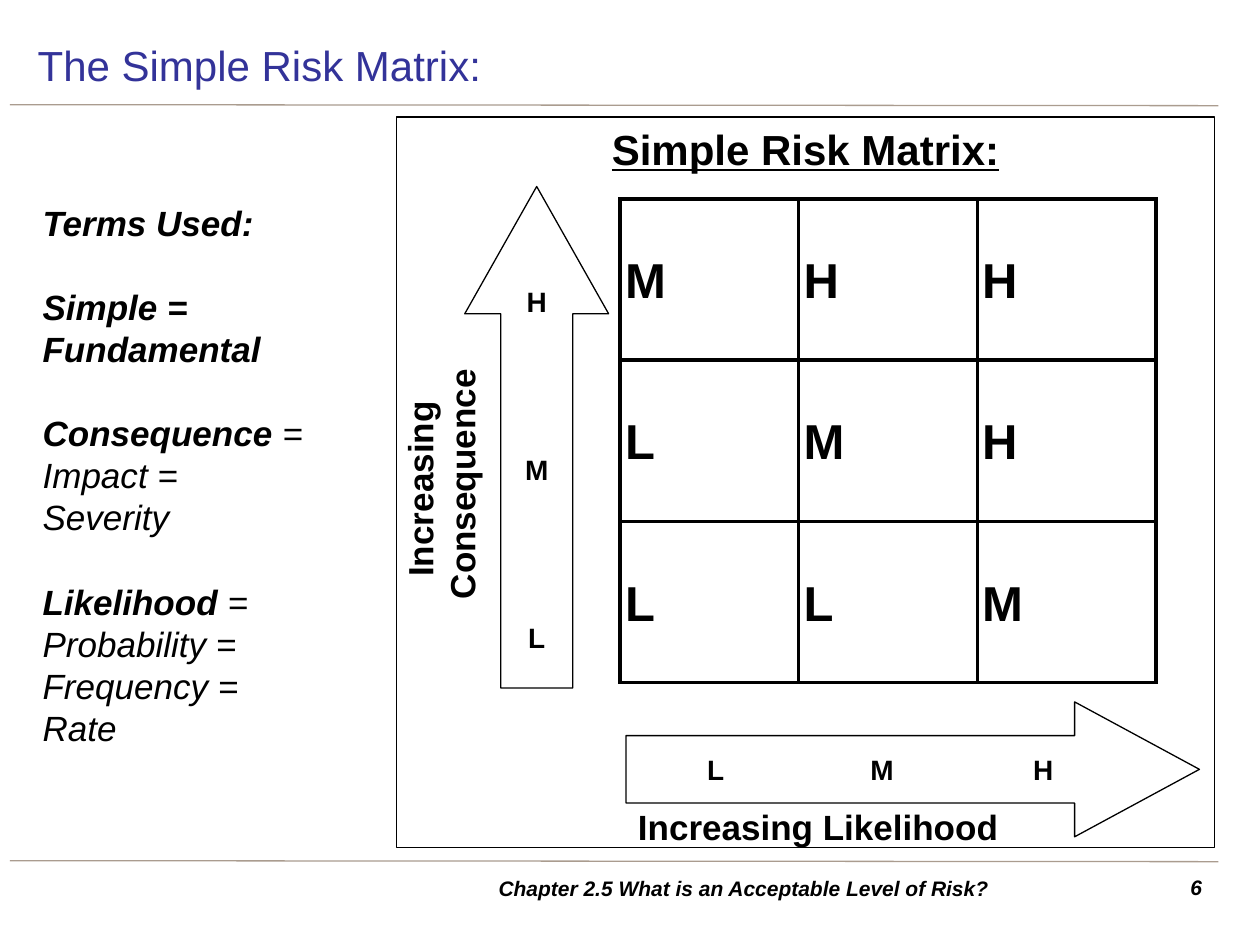
from dataclasses import dataclass

import pptx
import pptx.dml.color
import pptx.enum.shapes
import pptx.enum.text
import pptx.oxml
import pptx.oxml.ns
import pptx.util
from pptx.util import Cm, Pt

RGBColor = pptx.dml.color.RGBColor
BLACK = RGBColor(0x00, 0x00, 0x00)
WHITE = RGBColor(0xFF, 0xFF, 0xFF)
BLUE = RGBColor(0x33, 0x33, 0x99)
TAN = RGBColor(0xAA, 0x9C, 0x8F)

KIND = pptx.enum.shapes.MSO_SHAPE
ALIGN = pptx.enum.text.PP_ALIGN
ANCHOR = pptx.enum.text.MSO_ANCHOR
LEFT, MID, RIGHT = ALIGN.LEFT, ALIGN.CENTER, ALIGN.RIGHT
TOP, CENTER = ANCHOR.TOP, ANCHOR.MIDDLE
NS = pptx.oxml.ns.nsdecls("a")
LEAD = 1.2  # line pitch over text size


@dataclass
class Run:
    text: str
    bold: bool = True
    italic: bool = False
    under: bool = False


@dataclass
class Para:
    runs: list[Run]
    gap: float = 0
    tabs: tuple[float, ...] = ()


@dataclass
class Box:
    """Place in centimetres, text and text settings."""
    x: float
    y: float
    w: float
    h: float
    paras: list[Para]
    size: float
    align: ALIGN = LEFT
    anchor: ANCHOR = TOP
    pad: tuple[float, float] = (0.25, 0.13)
    color: RGBColor = BLACK
    turn: float = 0
    kind: KIND | None = None
    adjust: tuple[float, ...] = ()


def line(text: str, **style: bool) -> list[Para]:
    return [Para([Run(text, **style)])]


def write(par, para: Para, size: float, color: RGBColor, align: ALIGN) -> None:
    par.alignment = align
    par.line_spacing = Pt(size * LEAD)
    if para.gap:
        par.space_before = Pt(para.gap)
    if para.tabs:
        stops = "".join(f'<a:tab pos="{Cm(t)}" algn="ctr"/>' for t in para.tabs)
        par._p.get_or_add_pPr().append(
            pptx.oxml.parse_xml(f"<a:tabLst {NS}>{stops}</a:tabLst>"))
    for item in para.runs:
        for i, part in enumerate(item.text.split("\n")):
            if i:
                par.add_line_break()
            run = par.add_run()
            run.text = part
            font = run.font
            font.name, font.size = "Arial", Pt(size)
            font.bold, font.italic = item.bold, item.italic
            font.underline = item.under
            font.color.rgb = color


def draw(slide, box: Box) -> None:
    place = Cm(box.x), Cm(box.y), Cm(box.w), Cm(box.h)
    if box.kind is None:
        shape = slide.shapes.add_textbox(*place)
    else:
        shape = slide.shapes.add_shape(box.kind, *place)
        shape.shadow.inherit = False
        shape.fill.solid()
        shape.fill.fore_color.rgb = WHITE
        shape.line.color.rgb = BLACK
        shape.line.width = Pt(0.75)
        for i, value in enumerate(box.adjust):
            shape.adjustments[i] = value
    shape.rotation = box.turn
    frame = shape.text_frame
    frame.word_wrap = True
    frame.vertical_anchor = box.anchor
    frame.margin_left = frame.margin_right = Cm(box.pad[0])
    frame.margin_top = frame.margin_bottom = Cm(box.pad[1])
    for i, para in enumerate(box.paras):
        par = frame.add_paragraph() if i else frame.paragraphs[0]
        write(par, para, box.size, box.color, box.align)


def rule(slide, y: float) -> None:
    edge = slide.shapes.add_connector(
        pptx.enum.shapes.MSO_CONNECTOR.STRAIGHT,
        Cm(0.2), Cm(y), Cm(24.56), Cm(y + 0.02))
    edge.line.color.rgb = TAN
    edge.line.width = Pt(0.75)
    edge._element.spPr.append(pptx.oxml.parse_xml(f"<a:effectLst {NS}/>"))


def grid(slide, rows: list[str]) -> None:
    """Draw the risk table, one letter to a cell."""
    wide, high = 3.6, 3.25
    count = len(rows[0])
    table = slide.shapes.add_table(
        len(rows), count, Cm(12.5), Cm(4.01),
        Cm(wide * count), Cm(high * len(rows))).table
    table.first_row = table.horz_banding = False
    for col in table.columns:
        col.width = Cm(wide)
    for row, marks in zip(table.rows, rows):
        row.height = Cm(high)
        for cell, mark in zip(row.cells, marks):
            props = cell._tc.get_or_add_tcPr()
            for side in "LRTB":
                props.append(pptx.oxml.parse_xml(
                    f'<a:ln{side} {NS} w="{Pt(2.25)}"><a:solidFill>'
                    f'<a:srgbClr val="{BLACK}"/></a:solidFill></a:ln{side}>'))
            cell.fill.solid()
            cell.fill.fore_color.rgb = WHITE
            cell.vertical_anchor = CENTER
            cell.margin_left = cell.margin_right = Cm(0.1)
            cell.margin_top = cell.margin_bottom = Cm(0.1)
            write(cell.text_frame.paragraphs[0], line(mark)[0], 28, BLACK, LEFT)


def main() -> None:
    deck = pptx.Presentation()
    deck.slide_width, deck.slide_height = Cm(25.4), Cm(19.05)
    slide = deck.slides.add_slide(deck.slide_layouts[6])

    for y in (2.11, 17.35):
        rule(slide, y)

    terms = [
        Para([Run("Terms Used:", italic=True)]),
        Para([Run("Simple = Fundamental", italic=True)], gap=24),
        Para([Run("Consequence", italic=True),
              Run(" = Impact =", bold=False, italic=True)], gap=24),
        Para([Run("Severity", bold=False, italic=True)]),
        Para([Run("Likelihood", italic=True),
              Run(" = \nProbability =\nFrequency = \nRate",
                  bold=False, italic=True)], gap=24),
    ]
    levels = [Para([Run(mark)], gap=gap)
              for mark, gap in (("H", 0), ("M", 76.8), ("L", 76.8))]
    scale = [Para([Run("\tL\tM\tH")], tabs=(1.76, 5.11, 8.36))]
    none, thin = (0, 0), (0.05, 0.05)

    for box in (
        Box(0.51, 0.61, 24, 1.4, line("The Simple Risk Matrix:", bold=False),
            24, anchor=CENTER, color=BLUE),
        Box(23.01, 17.5, 1.47, 0.79, line("6", italic=True), 12, RIGHT),
        Box(7.49, 17.5, 15.01, 0.79,
            line("Chapter 2.5 What is an Acceptable Level of Risk?",
                 italic=True), 12, MID, CENTER),
        Box(0.61, 3.94, 7.06, 11.38, terms, 20),
        Box(8, 2.36, 16.48, 14.73, line("Simple Risk Matrix:", under=True),
            24, MID, kind=KIND.RECTANGLE),
        Box(5.54, 8.86, 6.78, 1.8, line("Increasing \nConsequence"),
            20, MID, pad=none, turn=270),
        Box(12.62, 16.23, 7.75, 0.89, line("Increasing Likelihood"),
            20, MID, pad=none),
        Box(12.62, 14.15, 11.56, 2.72, scale, 16, LEFT, CENTER, thin,
            kind=KIND.RIGHT_ARROW, adjust=(0.5, 0.925)),
        Box(9.37, 3.76, 2.9, 10.11, levels, 16, MID, CENTER, thin,
            kind=KIND.UP_ARROW, adjust=(0.5, 0.885)),
    ):
        draw(slide, box)
    grid(slide, ["MHH", "LMH", "LLM"])

    deck.save("out.pptx")


if __name__ == "__main__":
    main()
